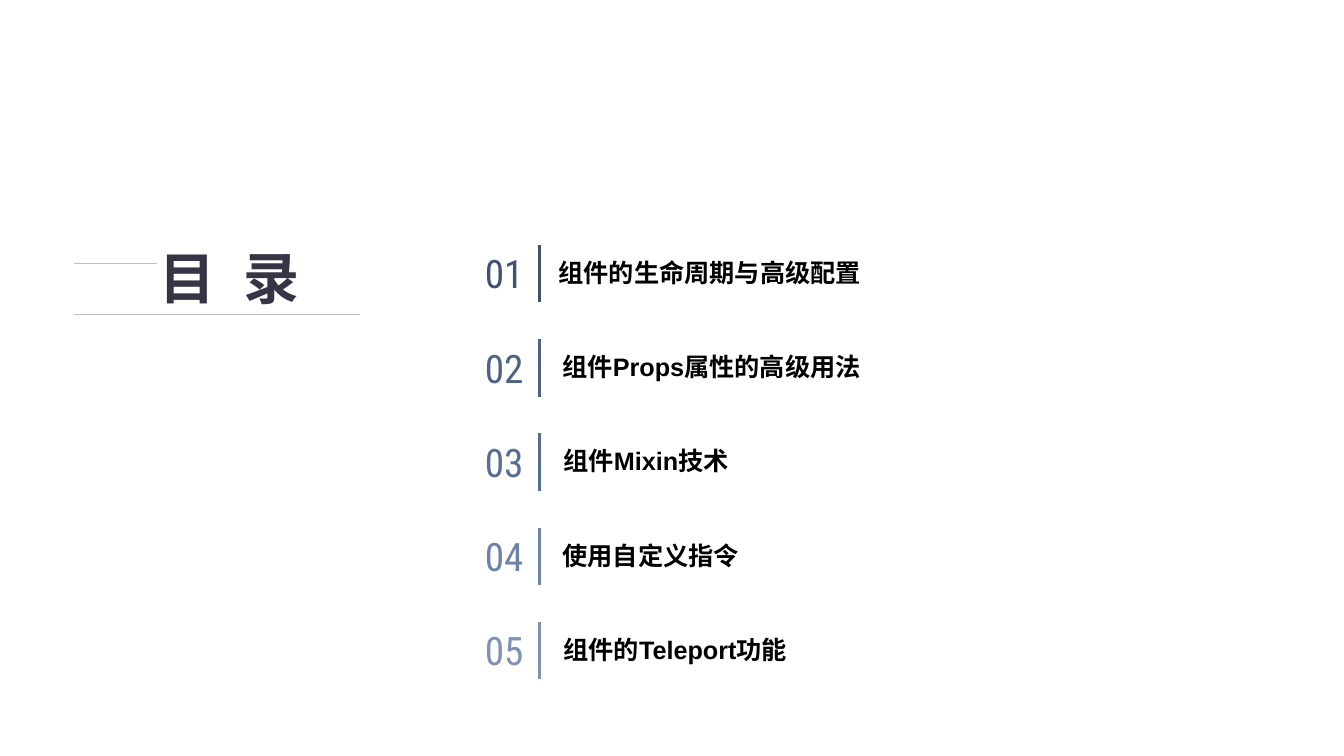
from dataclasses import dataclass

from lxml.etree import SubElement
from pptx import Presentation
from pptx.dml.color import RGBColor
from pptx.enum.shapes import MSO_CONNECTOR as Connector
from pptx.enum.text import MSO_ANCHOR as Anchor
from pptx.oxml.ns import qn
from pptx.util import Inches, Pt


@dataclass(frozen=True)
class Theme:
    heading: str = "373545"
    rule: str = "BFBFBF"
    topic: str = "000000"
    steps: tuple = ("42516E", "4F6283", "586D92", "6D82A7", "8092B2")
    text_font: str = "Arial"
    number_font: str = "Roboto Condensed"
    heading_size: int = 40
    number_size: int = 28
    topic_size: int = 18
    rule_width: float = 0.5
    bar_width: float = 2.25


THEME = Theme()

# Topic text and its left edge
TOPICS = (
    ("组件的生命周期与高级配置", 5.44),
    ("组件Props属性的高级用法", 5.48),
    ("组件Mixin技术", 5.49),
    ("使用自定义指令", 5.48),
    ("组件的Teleport功能", 5.49),
)
FIRST_TOP = 2.43
ROW_PITCH = 0.935
BAR_X = 5.35
BAR_HEIGHT = 0.57


def add_line(shapes, start, end, color, width):
    line = shapes.add_connector(
        Connector.STRAIGHT, *(Inches(value) for value in (*start, *end)))
    line.line.color.rgb = RGBColor.from_string(color)
    line.line.width = Pt(width)
    SubElement(line._element.spPr, qn("a:effectLst"))


def add_label(shapes, box, text, font, size, color, bold=False,
              anchor=Anchor.MIDDLE, right_inset=0.1):
    label = shapes.add_textbox(*(Inches(value) for value in box))
    frame = label.text_frame
    frame.word_wrap = True
    frame.vertical_anchor = anchor
    frame.margin_right = Inches(right_inset)
    frame.text = text
    run = frame.paragraphs[0].runs[0]
    run.font.name = font
    run.font.size = Pt(size)
    run.font.bold = bold
    run.font.color.rgb = RGBColor.from_string(color)
    return frame.paragraphs[0]


def add_heading(shapes):
    add_line(shapes, (1.56, 2.61), (0.73, 2.61), THEME.rule, THEME.rule_width)
    add_line(shapes, (0.73, 3.12), (3.57, 3.12), THEME.rule, THEME.rule_width)
    heading = add_label(shapes, (1.48, 2.43, 1.7, 0.72), "目 录",
                        THEME.text_font, THEME.heading_size, THEME.heading,
                        bold=True, right_inset=0)
    heading.line_spacing = 0.9
    # Letter spacing in hundredths of a point
    heading.runs[0].font._element.set("spc", "550")


def add_topic(shapes, index, topic, left, color):
    top = FIRST_TOP + index * ROW_PITCH
    row = shapes.add_group_shape().shapes
    add_label(row, (4.71, top + 0.03, 0.55, 0.5), f"{index + 1:02}",
              THEME.number_font, THEME.number_size, color, right_inset=0)
    add_line(row, (BAR_X, top), (BAR_X, top + BAR_HEIGHT),
             color, THEME.bar_width)
    add_label(row, (left, top + 0.09, 3.95, 0.38), topic,
              THEME.text_font, THEME.topic_size, THEME.topic,
              bold=True, anchor=Anchor.BOTTOM)


def main():
    deck = Presentation()
    deck.slide_width = Inches(13.33)
    deck.slide_height = Inches(7.5)
    shapes = deck.slides.add_slide(deck.slide_layouts[6]).shapes

    # Heading on the left
    add_heading(shapes)

    # Numbered topics
    for index, ((topic, left), color) in enumerate(zip(TOPICS, THEME.steps)):
        add_topic(shapes, index, topic, left, color)

    deck.save("out.pptx")


if __name__ == "__main__":
    main()
